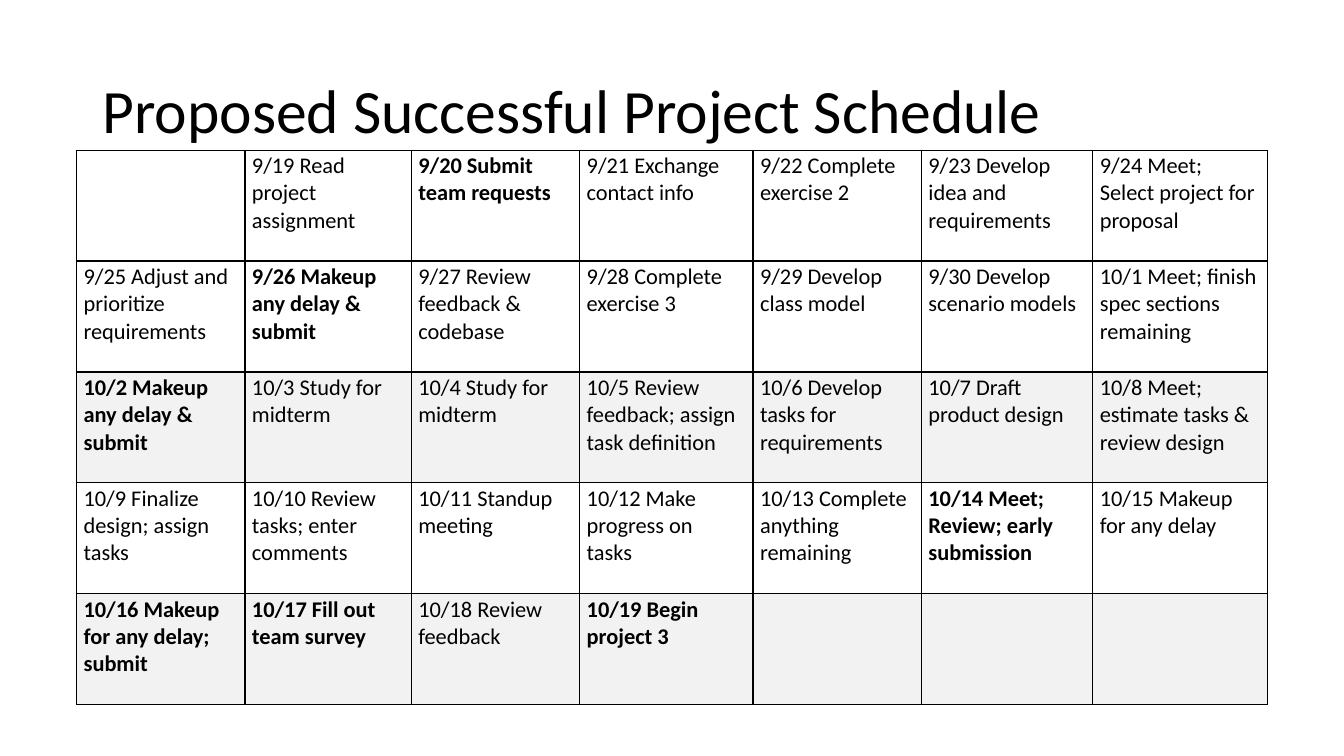
"""Build a slide with a project calendar under a title."""
from lxml import etree
from pptx import Presentation
from pptx import util as u
from pptx.dml.color import RGBColor
from pptx.enum import text
from pptx.oxml import ns

PX = 9144
THEME = {
    "font": "Calibri",
    "ink": "000000",
    "paper": "FFFFFF",
    "shade": "F2F2F2",
    "title": 44,
    "body": 16,
    "border": 1,
}
COLUMNS = [167, 165, 167, 172, 167, 170, 173]
ROW_HEIGHT = 110
SHADED_ROWS = {2, 4}
BOLD = "*"
SCHEDULE = [
    ["", "9/19 Read project assignment", "*9/20 Submit team requests",
     "9/21 Exchange contact info", "9/22 Complete exercise 2",
     "9/23 Develop idea and requirements", "9/24 Meet; Select project for proposal"],
    ["9/25 Adjust and prioritize requirements", "*9/26 Makeup any delay & submit",
     "9/27 Review feedback & codebase", "9/28 Complete exercise 3",
     "9/29 Develop class model", "9/30 Develop scenario models",
     "10/1 Meet; finish spec sections remaining"],
    ["*10/2 Makeup any delay & submit", "10/3 Study for midterm",
     "10/4 Study for midterm", "10/5 Review feedback; assign task definition",
     "10/6 Develop tasks for requirements", "10/7 Draft product design",
     "10/8 Meet; estimate tasks & review design"],
    ["10/9 Finalize design; assign tasks", "10/10 Review tasks; enter comments",
     "10/11 Standup meeting", "10/12 Make progress on tasks",
     "10/13 Complete anything remaining", "*10/14 Meet; Review; early submission",
     "10/15 Makeup for any delay"],
    ["*10/16 Makeup for any delay;\nsubmit", "*10/17 Fill out team survey",
     "10/18 Review feedback", "*10/19 Begin project 3", "", "", ""],
]


def style_font(font, size, bold=False):
    for name, value in {"name": THEME["font"], "size": u.Pt(size), "bold": bold}.items():
        setattr(font, name, value)
    font.color.rgb = RGBColor.from_string(THEME["ink"])


def add_borders(cell):
    properties = cell._tc.get_or_add_tcPr()
    for side in ("a:lnL", "a:lnR", "a:lnT", "a:lnB"):
        line = etree.SubElement(properties, ns.qn(side), w=str(u.Pt(THEME["border"])))
        fill = etree.SubElement(line, ns.qn("a:solidFill"))
        etree.SubElement(fill, ns.qn("a:srgbClr"), val=THEME["ink"])


deck = Presentation()
deck.slide_width, deck.slide_height = 1333 * PX, 750 * PX
page = deck.slides.add_slide(deck.slide_layouts[6])

frame = page.shapes.add_table(
    len(SCHEDULE), len(COLUMNS), 76 * PX, 149 * PX,
    sum(COLUMNS) * PX, len(SCHEDULE) * ROW_HEIGHT * PX)
calendar = frame.table
calendar.first_row = calendar.horz_banding = False
for column, width in zip(calendar.columns, COLUMNS):
    column.width = width * PX

margins = {"margin_left": 7, "margin_top": 2, "margin_right": 10, "margin_bottom": 15}
for row_index, tasks in enumerate(SCHEDULE):
    calendar.rows[row_index].height = ROW_HEIGHT * PX
    shade = THEME["shade" if row_index in SHADED_ROWS else "paper"]
    for column_index, task in enumerate(tasks):
        cell = calendar.cell(row_index, column_index)
        for name, value in margins.items():
            setattr(cell, name, value * PX)
        add_borders(cell)
        cell.fill.solid()
        cell.fill.fore_color.rgb = RGBColor.from_string(shade)
        cell.text = task.removeprefix(BOLD)
        for para in cell.text_frame.paragraphs:
            style_font(para.font, THEME["body"], task.startswith(BOLD))

box = page.shapes.add_textbox(92 * PX, 40 * PX, 1150 * PX, 145 * PX)
box.text_frame.word_wrap = True
box.text_frame.vertical_anchor = text.MSO_ANCHOR.MIDDLE
heading = box.text_frame.paragraphs[0]
heading.text = "Proposed Successful Project Schedule"
heading.line_spacing = 0.9
style_font(heading.font, THEME["title"])

deck.save("out.pptx")
